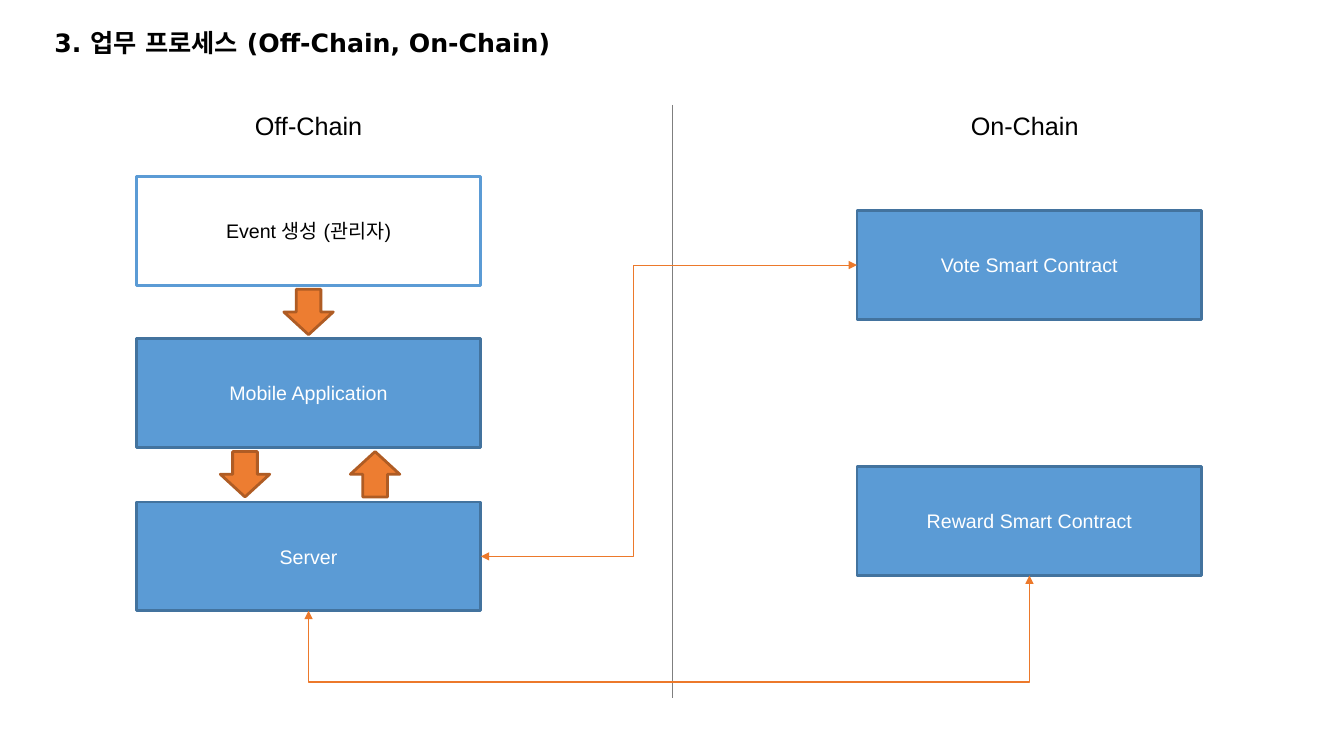
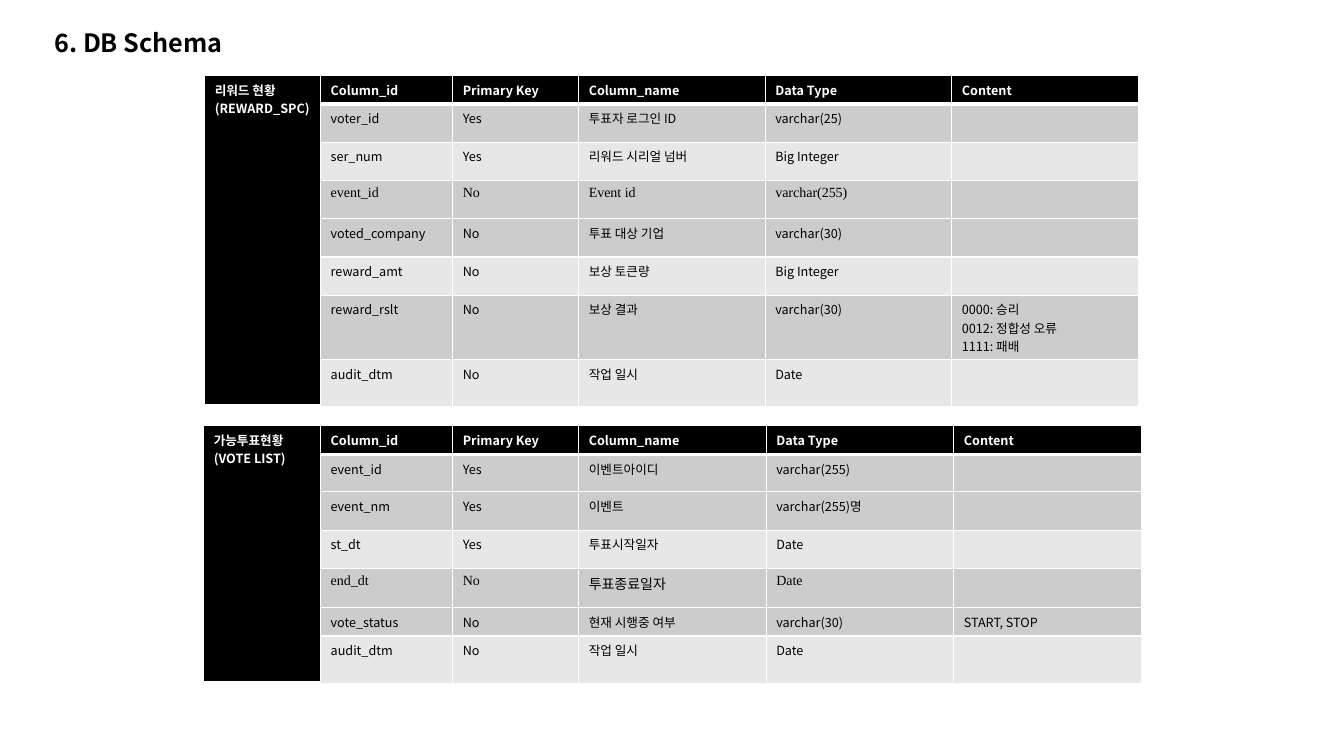
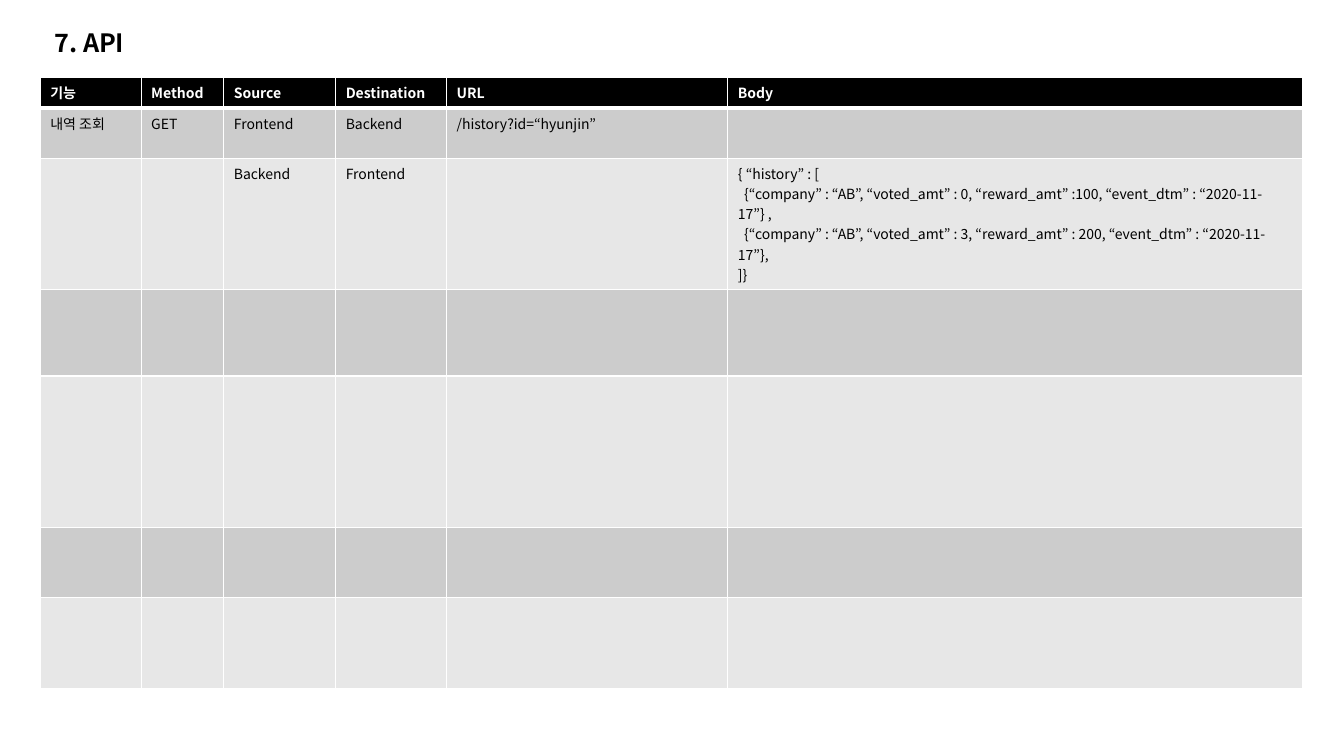
import dataclasses

import pptx
import pptx.dml.color
import pptx.enum.shapes
import pptx.enum.text
import pptx.oxml.ns
import pptx.util
from lxml import etree

Inches = pptx.util.Inches
Pt = pptx.util.Pt
qn = pptx.oxml.ns.qn
SHAPE = pptx.enum.shapes.MSO_SHAPE
CONNECTOR = pptx.enum.shapes.MSO_CONNECTOR
ANCHOR = pptx.enum.text.MSO_ANCHOR
ALIGN = pptx.enum.text.PP_ALIGN
TOP, LEFT, BOTTOM, RIGHT = range(4)


@dataclasses.dataclass(frozen=True)
class Theme:
    black: str = "000000"
    white: str = "FFFFFF"
    blue: str = "5B9BD5"
    blue_edge: str = "43739E"
    orange: str = "ED7D31"
    orange_edge: str = "AF5C24"
    flow: str = "EC792B"
    divider: str = "7F7F7F"
    dark_band: str = "CCCCCC"
    light_band: str = "E7E7E7"
    sans: str = "Arial"
    korean: str = "Noto Sans CJK KR"
    wide: str = "DejaVu Sans"
    serif: str = "Times New Roman"
    title_size: int = 18
    box_size: int = 14
    api_size: int = 10
    schema_size: int = 9
    serif_size: int = 10
    edge_width: float = 2
    thin_width: float = 0.75
    cell_border: float = 0.96
    header_border: float = 3


THEME = Theme()


@dataclasses.dataclass(frozen=True)
class TextStyle:
    """Look of a text; east_asian is the Korean font, by default the same font."""
    font: str
    size: float
    color: str = THEME.black
    bold: bool = False
    east_asian: str = ""


@dataclasses.dataclass(frozen=True)
class Row:
    """A body row; styles maps a column index to a style of its own."""
    height: float
    fill: str
    cells: tuple
    styles: dict = dataclasses.field(default_factory=dict)


def rgb(color):
    return pptx.dml.color.RGBColor.from_string(color)


def write_text(frame, text, style, align=ALIGN.LEFT):
    for index, line in enumerate(text.split("\n")):
        paragraph = frame.add_paragraph() if index else frame.paragraphs[0]
        paragraph.alignment = align
        if not line:
            end = etree.SubElement(paragraph._p, qn("a:endParaRPr"))
            end.set("sz", str(style.size * 100))
            continue
        run = paragraph.add_run()
        run.text = line
        run.font.name = style.font
        run.font.size = Pt(style.size)
        run.font.bold = style.bold
        run.font.color.rgb = rgb(style.color)
        east_asian = etree.SubElement(run._r.get_or_add_rPr(), qn("a:ea"))
        east_asian.set("typeface", style.east_asian or style.font)


def add_label(slide, left, top, width, height, text, style, anchor=ANCHOR.TOP, wrap=True):
    shape = slide.shapes.add_textbox(*map(Inches, (left, top, width, height)))
    shape.text_frame.word_wrap = wrap
    shape.text_frame.vertical_anchor = anchor
    write_text(shape.text_frame, text, style)


def add_titled_slide(presentation, title, font=THEME.korean):
    slide = presentation.slides.add_slide(presentation.slide_layouts[6])
    style = TextStyle(font, THEME.title_size, bold=True)
    add_label(slide, 0.44, 0.22, 8.1, 0.4, title, style, ANCHOR.MIDDLE)
    return slide


def add_filled_shape(slide, kind, left, top, width, height, fill, edge):
    shape = slide.shapes.add_shape(kind, *map(Inches, (left, top, width, height)))
    shape.shadow.inherit = False
    shape.fill.solid()
    shape.fill.fore_color.rgb = rgb(fill)
    shape.line.color.rgb = rgb(edge)
    shape.line.width = Pt(THEME.edge_width)
    return shape


def add_box(slide, left, top, text, fill=THEME.blue, edge=THEME.blue_edge, color=THEME.white):
    box = add_filled_shape(slide, SHAPE.RECTANGLE, left, top, 3.42, 1.08, fill, edge)
    box.text_frame.word_wrap = True
    box.text_frame.vertical_anchor = ANCHOR.MIDDLE
    write_text(box.text_frame, text, TextStyle(THEME.sans, THEME.box_size, color), ALIGN.CENTER)
    return box


def add_block_arrow(slide, center, top, rotation=0):
    width = 0.49
    arrow = add_filled_shape(slide, SHAPE.DOWN_ARROW, center - width / 2, top, width, 0.45,
                             THEME.orange, THEME.orange_edge)
    arrow.rotation = rotation


def style_connector(connector, color):
    connector.line.color.rgb = rgb(color)
    connector.line.width = Pt(THEME.thin_width)
    etree.SubElement(connector._element.spPr, qn("a:effectLst"))


def add_elbow(slide, start, start_side, end, end_side, bend, turned=False):
    """Join two boxes with a two-headed elbow; turned makes it leave vertically.

    bend is the place of the middle segment in thousandths of a percent.
    """
    connector = slide.shapes.add_connector(CONNECTOR.ELBOW, 0, 0, 0, 0)
    connector.begin_connect(start, start_side)
    connector.end_connect(end, end_side)
    properties = connector._element.spPr
    if turned:
        across = connector.end_x - connector.begin_x
        down = connector.end_y - connector.begin_y
        center_x = connector.begin_x + across // 2
        center_y = connector.begin_y + down // 2
        connector.begin_x, connector.begin_y = center_x - down // 2, center_y + across // 2
        connector.end_x, connector.end_y = center_x + down // 2, center_y - across // 2
        properties.find(qn("a:xfrm")).set("rot", "5400000")
    geometry = properties.find(qn("a:prstGeom"))
    adjustments = geometry.find(qn("a:avLst"))
    if adjustments is None:
        adjustments = etree.SubElement(geometry, qn("a:avLst"))
    etree.SubElement(adjustments, qn("a:gd"), name="adj1", fmla=f"val {bend}")
    style_connector(connector, THEME.flow)
    for tag in ("a:headEnd", "a:tailEnd"):
        etree.SubElement(properties.find(qn("a:ln")), qn(tag), type="triangle")


def set_borders(cell, top_width, bottom_width):
    thin = THEME.cell_border
    widths = {"a:lnL": thin, "a:lnR": thin, "a:lnT": top_width, "a:lnB": bottom_width}
    properties = cell._tc.get_or_add_tcPr()
    for index, (tag, width) in enumerate(widths.items()):
        line = etree.Element(qn(tag), w=str(Pt(width)))
        fill = etree.SubElement(line, qn("a:solidFill"))
        etree.SubElement(fill, qn("a:srgbClr"), val=THEME.white)
        properties.insert(index, line)


def fill_cell(cell, row_index, fill, text, style):
    cell.fill.solid()
    cell.fill.fore_color.rgb = rgb(fill)
    thin, thick = THEME.cell_border, THEME.header_border
    set_borders(cell, thick if row_index == 1 else thin, thick if row_index == 0 else thin)
    write_text(cell.text_frame, text, style)


def add_grid(slide, left, top, widths, header_height, headers, rows, size):
    all_rows = [Row(header_height, THEME.black, headers), *rows]
    heights = [row.height for row in all_rows]
    table = slide.shapes.add_table(
        len(all_rows), len(widths), Inches(left), Inches(top),
        Inches(sum(widths)), Inches(sum(heights))).table
    for column, width in zip(table.columns, widths):
        column.width = Inches(width)
    header_style = TextStyle(THEME.korean, size, THEME.white, True)
    body_style = TextStyle(THEME.korean, size)
    for row_index, row in enumerate(all_rows):
        table.rows[row_index].height = Inches(row.height)
        row_style = body_style if row_index else header_style
        for column, text in enumerate(row.cells):
            fill_cell(table.cell(row_index, column), row_index, row.fill, text,
                      row.styles.get(column, row_style))
    return table


def add_schema(slide, left, top, widths, header_height, name, rows):
    """Add a table whose name fills a merged first column."""
    headers = (name, "Column_id", "Primary Key", "Column_name", "Data Type", "Content")
    padded = [dataclasses.replace(row, cells=("", *row.cells)) for row in rows]
    table = add_grid(slide, left, top, widths, header_height, headers, padded,
                     THEME.schema_size)
    name_cell = table.cell(0, 0)
    name_cell.margin_right = Inches(0.05)
    name_cell.merge(table.cell(len(rows), 0))


def build_process_slide(presentation):
    slide = add_titled_slide(presentation, "3. 업무 프로세스 (Off-Chain, On-Chain)", THEME.wide)
    heading = TextStyle(THEME.sans, THEME.title_size)
    add_label(slide, 2.43, 1.04, 1.27, 0.71, "Off-Chain", heading, wrap=False)
    add_label(slide, 9.53, 1.04, 1.38, 0.71, "On-Chain", heading, wrap=False)
    divider = slide.shapes.add_connector(
        CONNECTOR.STRAIGHT, Inches(6.67), Inches(1.04), Inches(6.67), Inches(6.92))
    style_connector(divider, THEME.divider)

    off_chain, on_chain = 1.35, 8.5
    event_top, application_top, server_top = 1.75, 3.36, 4.98
    add_box(slide, off_chain, event_top, "Event 생성 (관리자)",
            THEME.white, THEME.blue, THEME.black)
    add_box(slide, off_chain, application_top, "Mobile Application")
    server = add_box(slide, off_chain, server_top, "Server")
    vote = add_box(slide, on_chain, 2.09, "Vote Smart Contract")
    reward = add_box(slide, on_chain, 4.63, "Reward Smart Contract")

    arrow_drop = 1.12
    add_block_arrow(slide, 3.06, event_top + arrow_drop)
    add_block_arrow(slide, 2.43, application_top + arrow_drop)
    add_block_arrow(slide, 3.72, application_top + arrow_drop, 180)
    add_elbow(slide, server, BOTTOM, reward, BOTTOM, -201800, turned=True)
    add_elbow(slide, server, RIGHT, vote, LEFT, 40500)


def build_schema_slide(presentation):
    slide = add_titled_slide(presentation, "6. DB Schema")
    dark, light = THEME.dark_band, THEME.light_band
    serif_style = TextStyle(THEME.serif, THEME.serif_size, east_asian=THEME.korean)
    serif = dict.fromkeys(range(1, 6), serif_style)
    reward_rows = [
        Row(0.38, dark, ("voter_id", "Yes", "투표자 로그인 ID", "varchar(25)", "")),
        Row(0.38, light, ("ser_num", "Yes", "리워드 시리얼 넘버", "Big Integer", "")),
        Row(0.38, dark, ("event_id", "No", "Event id", "varchar(255)", ""), serif),
        Row(0.38, dark, ("voted_company", "No", "투표 대상 기업", "varchar(30)", "")),
        Row(0.38, light, ("reward_amt", "No", "보상 토큰량", "Big Integer", "")),
        Row(0.64, dark, ("reward_rslt", "No", "보상 결과", "varchar(30)",
                         "0000: 승리\n0012: 정합성 오류\n1111: 패배")),
        Row(0.46, light, ("audit_dtm", "No", "작업 일시", "Date", "")),
    ]
    vote_rows = [
        Row(0.37, dark, ("event_id", "Yes", "이벤트아이디", "varchar(255)", "")),
        Row(0.38, dark, ("event_nm", "Yes", "이벤트", "varchar(255)명", "")),
        Row(0.38, light, ("st_dt", "Yes", "투표시작일자", "Date", "")),
        Row(0.39, dark, ("end_dt", "No", "투표종료일자", "Date", ""), serif),
        Row(0.28, dark, ("vote_status", "No", "현재 시행중 여부", "varchar(30)", "START, STOP")),
        Row(0.47, light, ("audit_dtm", "No", "작업 일시", "Date", "")),
    ]
    add_schema(slide, 2.03, 0.75, (1.15, 1.31, 1.25, 1.85, 1.85, 1.85), 0.28,
               "리워드 현황\n(REWARD_SPC)", reward_rows)
    add_schema(slide, 2.02, 4.22, (1.16, 1.31, 1.25, 1.86, 1.86, 1.86), 0.29,
               "가능투표현황\n(VOTE LIST)", vote_rows)


def build_api_slide(presentation):
    slide = add_titled_slide(presentation, "7. API")
    dark, light = THEME.dark_band, THEME.light_band
    response = "\n".join((
        "{ “history” : [",
        "  {“company” : “AB”, “voted_amt” : 0, “reward_amt” :100, “event_dtm” : “2020-11-17”} ,",
        "  {“company” : “AB”, “voted_amt” : 3, “reward_amt” : 200, “event_dtm” : “2020-11-17”},",
        "]}",
    ))
    blank = ("",) * 6
    rows = [
        Row(0.5, dark, ("내역 조회", "GET", "Frontend", "Backend", "/history?id=“hyunjin”", ""),
            {0: TextStyle(THEME.sans, THEME.api_size, east_asian=THEME.korean)}),
        Row(1.3, light, ("", "", "Backend", "Frontend", "", response)),
        Row(0.86, dark, blank),
        Row(1.5, light, blank),
        Row(0.7, dark, blank),
        Row(0.9, light, blank),
    ]
    add_grid(slide, 0.4, 0.77, (1, 0.82, 1.11, 1.1, 2.79, 5.7), 0.3,
             ("기능", "Method", "Source", "Destination", "URL", "Body"), rows, THEME.api_size)


def main():
    presentation = pptx.Presentation()
    presentation.slide_width = Inches(13.33)
    presentation.slide_height = Inches(7.5)
    build_process_slide(presentation)
    build_schema_slide(presentation)
    build_api_slide(presentation)
    presentation.save("out.pptx")


if __name__ == "__main__":
    main()
